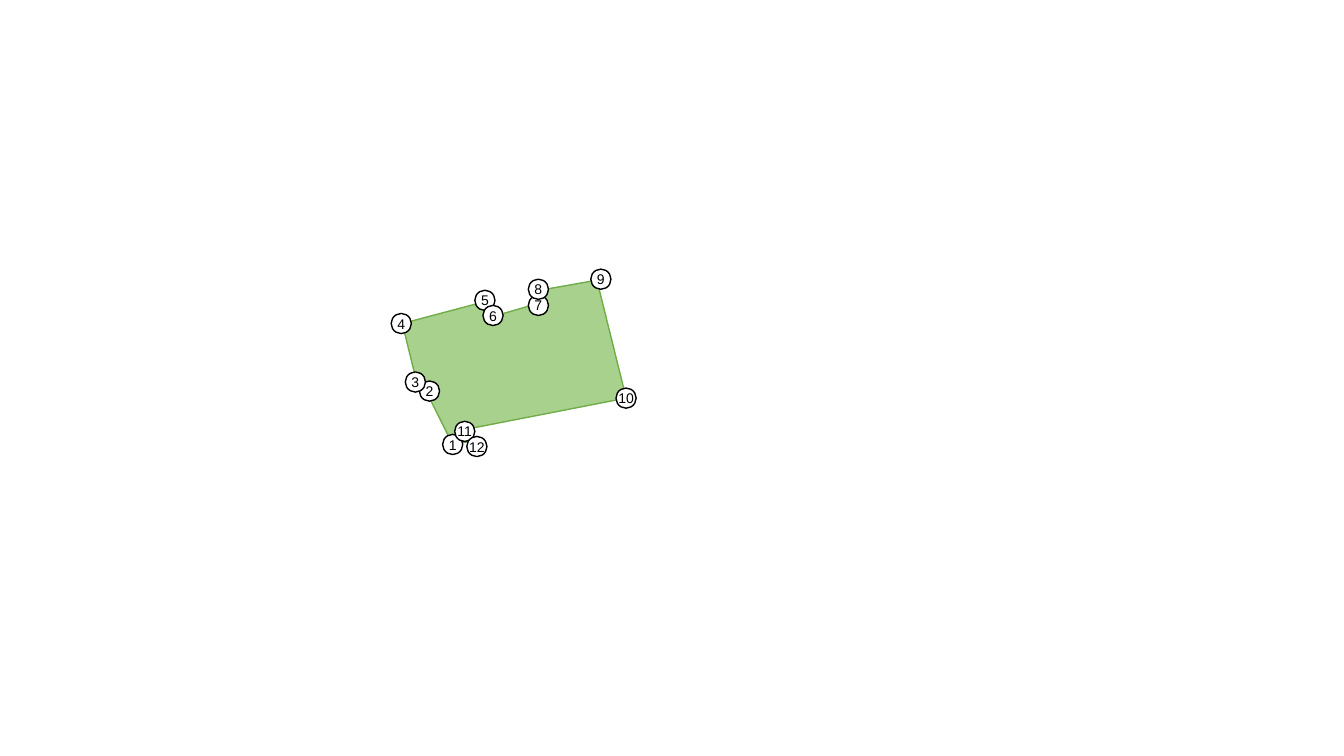
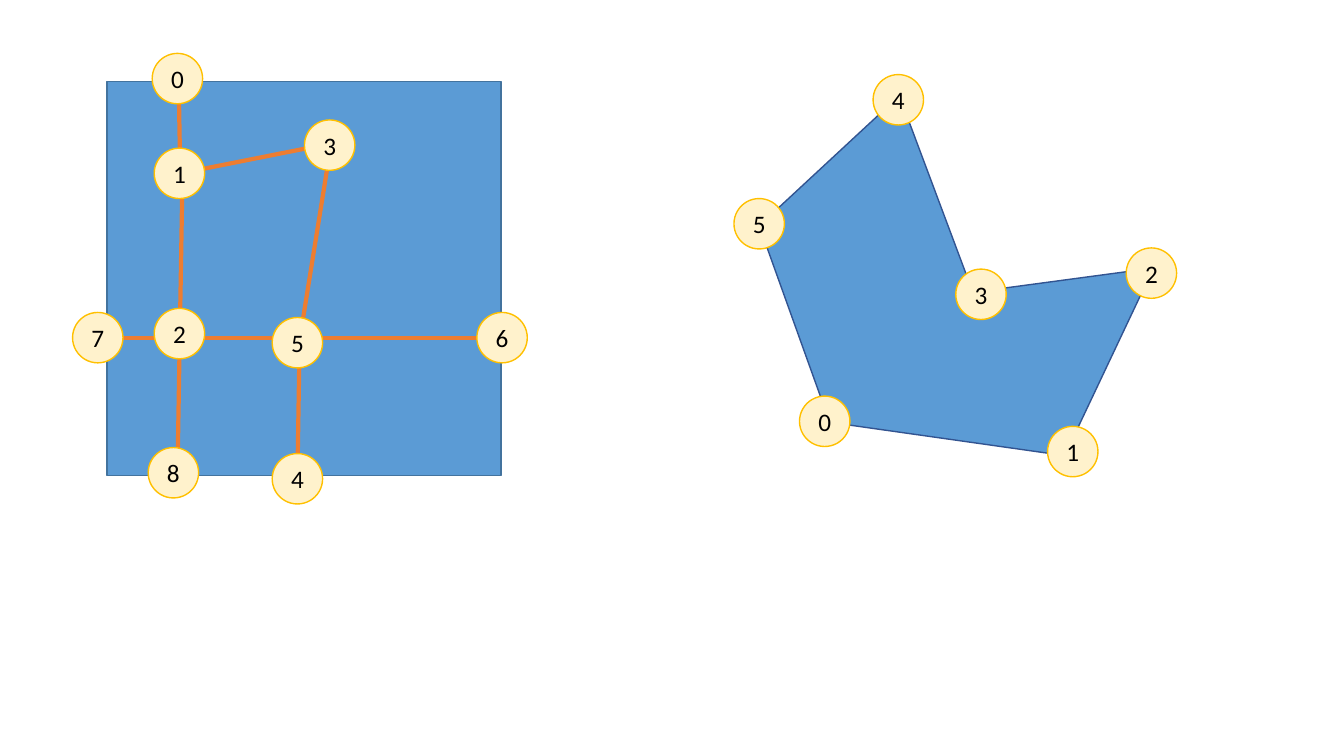
from lxml.etree import SubElement
from pptx import Presentation
from pptx.dml.color import RGBColor
from pptx.enum.shapes import MSO_CONNECTOR, MSO_SHAPE
from pptx.enum.text import MSO_ANCHOR, PP_ALIGN
from pptx.oxml.ns import qn
from pptx.util import Pt

PX = 9144
COLORS = {
    "black": "000000",
    "white": "FFFFFF",
    "green": "A9D18E",
    "green line": "70AD47",
    "blue": "5B9BD5",
    "square line": "43739E",
    "polygon line": "325491",
    "orange": "ED7D31",
    "cream": "FFF2CC",
    "gold": "FFC000",
}
FRAME_FORMAT = {
    "margin_left": 0,
    "margin_top": 0,
    "margin_right": 0,
    "margin_bottom": 0,
    "word_wrap": False,
    "vertical_anchor": MSO_ANCHOR.MIDDLE,
}
SMALL_NODE = {
    "size": 20,
    "fill": "white",
    "line": "black",
    "font": {"name": "Arial", "size": Pt(10)},
}
LARGE_NODE = {
    "size": 50,
    "fill": "cream",
    "line": "gold",
    "font": {"name": "Calibri", "size": Pt(18)},
}


def paint(shape, fill, line):
    shape.shadow.inherit = False
    shape.fill.solid()
    shape.fill.fore_color.rgb = RGBColor.from_string(COLORS[fill])
    shape.line.color.rgb = RGBColor.from_string(COLORS[line])
    shape.line.width = Pt(1)


def add_node(page, label, left, top, style):
    size = style["size"] * PX
    node = page.shapes.add_shape(MSO_SHAPE.OVAL, left * PX, top * PX, size, size)
    paint(node, style["fill"], style["line"])
    for name, value in FRAME_FORMAT.items():
        setattr(node.text_frame, name, value)
    para = node.text_frame.paragraphs[0]
    para.alignment = PP_ALIGN.CENTER
    span = para.add_run()
    span.text = str(label)
    for name, value in style["font"].items():
        setattr(span.font, name, value)
    span.font.color.rgb = RGBColor.from_string(COLORS["black"])


deck = Presentation()
deck.slide_width = 1333 * PX
deck.slide_height = 750 * PX
blank = deck.slide_layouts[6]
outline_page = deck.slides.add_slide(blank)
graph_page = deck.slides.add_slide(blank)

square = graph_page.shapes.add_shape(
    MSO_SHAPE.RECTANGLE, 106 * PX, 81 * PX, 391 * PX, 391 * PX
)
paint(square, "blue", "square line")

edges = [
    (297, 350, 295, 472),
    (177, 69, 179, 183),
    (295, 335, 498, 335),
    (179, 172, 320, 144),
    (181, 175, 176, 471),
    (327, 152, 298, 332),
    (94, 335, 295, 335),
]
for ends in edges:
    edge = graph_page.shapes.add_connector(
        MSO_CONNECTOR.STRAIGHT, *[value * PX for value in ends]
    )
    edge.line.color.rgb = RGBColor.from_string(COLORS["orange"])
    edge.line.width = Pt(3)
    SubElement(edge.element.spPr, qn("a:effectLst"))

building_corners = [
    (399, 321), (482, 299), (489, 314), (534, 301), (530, 289), (592, 278),
    (621, 395), (462, 426), (466, 438), (449, 441), (423, 389), (414, 382),
]
polygon_corners = [
    (892, 95), (753, 224), (823, 419), (1056, 452), (1144, 266), (965, 290),
]
for page, corners, fill, line in [
    (outline_page, building_corners, "green", "green line"),
    (graph_page, polygon_corners, "blue", "polygon line"),
]:
    builder = page.shapes.build_freeform(*corners[0], scale=PX)
    builder.add_line_segments(corners[1:], close=True)
    paint(builder.convert_to_shape(), fill, line)

building_nodes = [
    (439, 431), (416, 378), (402, 369), (388, 311), (471, 288), (479, 303),
    (524, 293), (524, 277), (586, 267), (611, 385), (451, 418), (463, 433),
]
graph_nodes = [
    (151, 53), (153, 147), (153, 306), (302, 119), (270, 450),
    (270, 315), (473, 310), (72, 310), (147, 444),
]
polygon_nodes = [
    (793, 393), (1039, 423), (1117, 246), (948, 267), (866, 74), (728, 197),
]
for page, nodes, first, style in [
    (outline_page, building_nodes, 1, SMALL_NODE),
    (graph_page, graph_nodes, 0, LARGE_NODE),
    (graph_page, polygon_nodes, 0, LARGE_NODE),
]:
    for label, (left, top) in enumerate(nodes, first):
        add_node(page, label, left, top, style)

deck.save("out.pptx")
